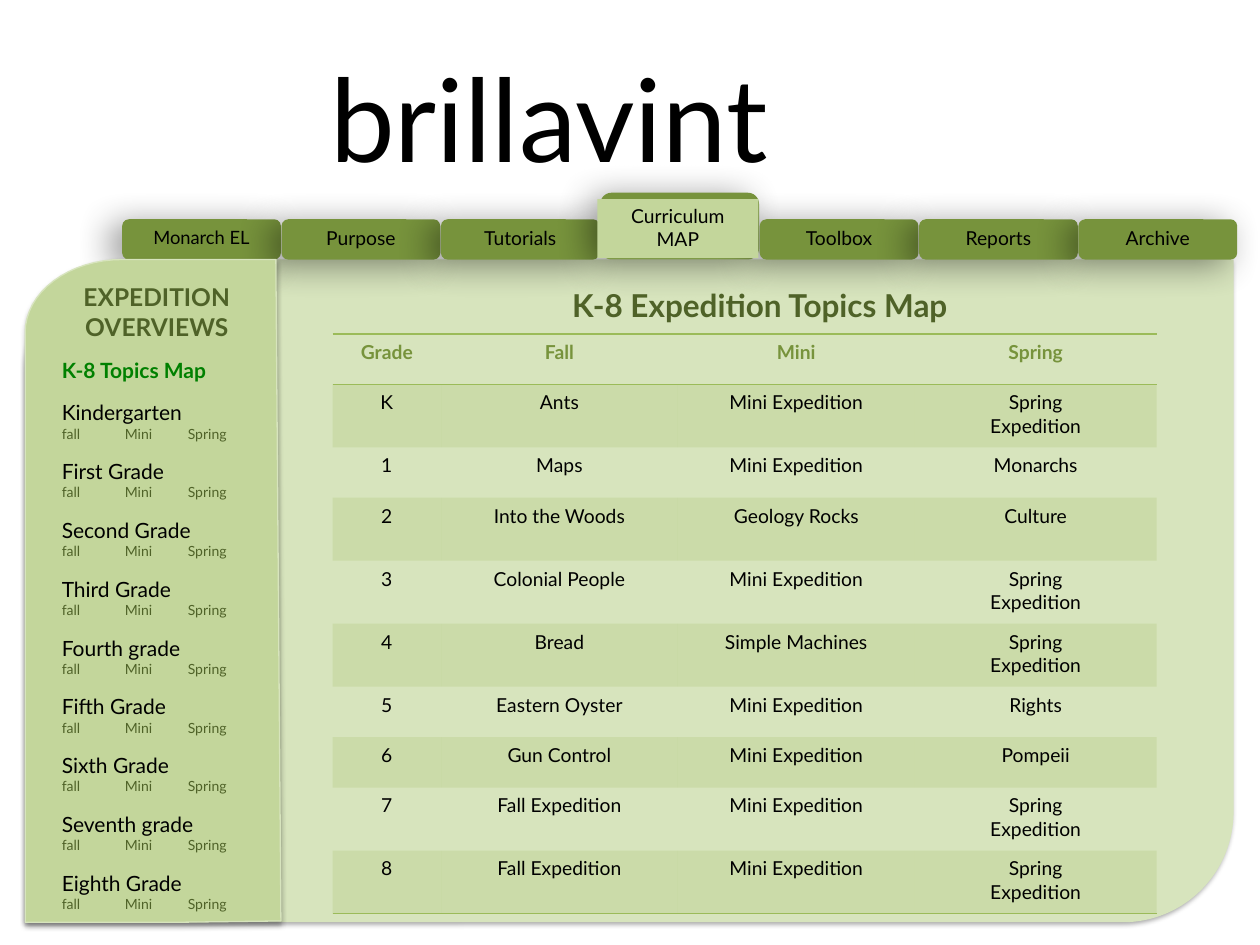
from math import cos, pi, sin

from lxml.etree import SubElement
from pptx import Presentation
from pptx.dml.color import RGBColor
from pptx.enum.shapes import MSO_SHAPE
from pptx.enum.text import MSO_ANCHOR, MSO_AUTO_SIZE, PP_ALIGN
from pptx.oxml.ns import qn
from pptx.util import Inches, Pt

FONT = "Lato"
BLACK = RGBColor(0x00, 0x00, 0x00)
PANEL = RGBColor(0xD7, 0xE4, 0xBD)
SIDEBAR = RGBColor(0xC3, 0xD6, 0x9B)
TAB = RGBColor(0x77, 0x93, 0x3C)
ACCENT = RGBColor(0x9B, 0xBB, 0x59)
DARK_GREEN = RGBColor(0x4F, 0x62, 0x28)
CURRENT = RGBColor(0x00, 0x80, 0x00)

# Shadows: opacity %, blur pt, distance pt, direction degrees
SOFT_SHADOW = (35, 3.1, 1.8, 90)
TAB_SHADOW = (43, 20.8, 7, 153)
NO_GRID_STYLE = "{2D5ABB26-0587-4C30-8999-92F81FD0307C}"

TABS = ["Monarch EL", "Purpose", "Tutorials", "Curriculum MAP",
        "Toolbox", "Reports", "Archive"]
SELECTED = "Curriculum MAP"
GRADES = ["Kindergarten", "First Grade", "Second Grade", "Third Grade",
          "Fourth grade", "Fifth Grade", "Sixth Grade", "Seventh grade",
          "Eighth Grade"]
MINI = "Mini Expedition"
SPRING = "Spring\nExpedition"
TOPICS = [
    ("Grade", "Fall", "Mini", "Spring"),
    ("K", "Ants", MINI, SPRING),
    ("1", "Maps", MINI, "Monarchs"),
    ("2", "Into the Woods", "Geology Rocks", "Culture"),
    ("3", "Colonial People", MINI, SPRING),
    ("4", "Bread", "Simple Machines", SPRING),
    ("5", "Eastern Oyster", MINI, "Rights"),
    ("6", "Gun Control", MINI, "Pompeii"),
    ("7", "Fall Expedition", MINI, SPRING),
    ("8", "Fall Expedition", MINI, SPRING),
]
COLUMN_WIDTHS = [0.86, 1.88, 1.88, 1.92]
ROW_HEIGHTS = [0.4, 0.5, 0.4, 0.5, 0.5, 0.5, 0.4, 0.4, 0.5, 0.5]


def place(shape, left, top, width, height):
    shape.left, shape.top = Inches(left), Inches(top)
    shape.width, shape.height = Inches(width), Inches(height)


def style(paragraph, size, color, bold=False, align=PP_ALIGN.CENTER):
    paragraph.alignment = align
    font = paragraph.font
    font.name, font.size, font.bold = FONT, Pt(size), bold
    font.color.rgb = color


def add_color(parent, color, opacity=100):
    fill = SubElement(parent, qn("a:solidFill"))
    rgb = SubElement(fill, qn("a:srgbClr"), val=str(color))
    SubElement(rgb, qn("a:alpha"), val=str(opacity * 1000))


def paint(shape, color, shadow=None):
    shape.fill.solid()
    shape.fill.fore_color.rgb = color
    shape.line.fill.background()
    shape.shadow.inherit = False
    if shadow:
        opacity, blur, distance, angle = shadow
        effects = shape._element.spPr.find(qn("a:effectLst"))
        outer = SubElement(effects, qn("a:outerShdw"), blurRad=str(Pt(blur)),
                           dist=str(Pt(distance)), dir=str(angle * 60000),
                           rotWithShape="0")
        rgb = SubElement(outer, qn("a:srgbClr"), val=str(BLACK))
        SubElement(rgb, qn("a:alpha"), val=str(opacity * 1000))


def add_block(slide, kind, box, color, shadow=None):
    block = slide.shapes.add_shape(kind, *map(Inches, box))
    paint(block, color, shadow)
    return block


def write_label(shape, text, size):
    frame = shape.text_frame
    frame.word_wrap = True
    frame.vertical_anchor = MSO_ANCHOR.TOP
    frame.margin_top = Inches(0.04)
    frame.text = text
    style(frame.paragraphs[0], size, BLACK)


def add_tabs(slide):
    first, last, width = 0.97, 8.56, 1.26
    pitch = (last - first) / (len(TABS) - 1)
    for i, label in enumerate(TABS):
        selected = label == SELECTED
        top, height = (1.53, 0.53) if selected else (1.74, 0.32)
        tab = add_block(slide, MSO_SHAPE.ROUNDED_RECTANGLE,
                        (first + i * pitch, top, width, height), TAB, TAB_SHADOW)
        if not selected:
            write_label(tab, label, 10.5 if i == 0 else 11)
    # Light front of the selected tab
    front = add_block(slide, MSO_SHAPE.RECTANGLE, (4.74, 1.58, 1.28, 0.47), SIDEBAR)
    write_label(front, SELECTED, 11)


def add_sidebar_panel(slide):
    left, top, bottom = 0.2, 2.06, 7.32
    radius_x, radius_y, steps = 0.77, 0.58, 16
    angles = [pi / 2 * i / steps for i in range(steps + 1)]
    corner = [(left + radius_x * (1 - cos(a)), top + radius_y * (1 - sin(a)))
              for a in angles]
    outline = corner + [(2.19, top), (2.23, 7.31), (1.42, bottom), (left, bottom)]
    points = [(Inches(x), Inches(y)) for x, y in outline]
    builder = slide.shapes.build_freeform(*points[0])
    builder.add_line_segments(points[1:], close=True)
    panel = builder.convert_to_shape()
    paint(panel, SIDEBAR, SOFT_SHADOW)
    panel.line.color.rgb = PANEL
    panel.line.width = Pt(0.75)


def fill_sidebar_list(slide, body):
    gap = 9.6
    lines = [("EXPEDITION", 14, DARK_GREEN, True, 0),
             ("OVERVIEWS", 14, DARK_GREEN, True, 0),
             ("K-8 Topics Map", 12, CURRENT, True, gap)]
    for grade in GRADES:
        lines += [(grade, 12, BLACK, False, gap),
                  ("fall\tMini\tSpring", 8, DARK_GREEN, False, 0)]
    place(body, 0.39, 2.19, 1.71, 5.3)
    frame = body.text_frame
    frame.auto_size = MSO_AUTO_SIZE.NONE
    frame.text = "\n".join(line[0] for line in lines)
    for paragraph, (_, size, color, bold, before) in zip(frame.paragraphs, lines):
        align = PP_ALIGN.CENTER if size == 14 else PP_ALIGN.LEFT
        style(paragraph, size, color, bold, align)
        paragraph.space_before = Pt(before)
        # No bullet or indent, with stops for the season names
        props = paragraph._p.get_or_add_pPr()
        props.set("marL", "0")
        props.set("indent", "0")
        bullet = props.makeelement(qn("a:buNone"), {})
        props.find(qn("a:spcBef")).addnext(bullet)
        stops = props.makeelement(qn("a:tabLst"), {})
        bullet.addnext(stops)
        for stop in (0.29, 0.62):
            SubElement(stops, qn("a:tab"), pos=str(Inches(stop)), algn="l")
    # Bring the list in front of the panel
    slide.shapes._spTree.append(body._element)


def add_border(cell, side):
    line = SubElement(cell._tc.get_or_add_tcPr(), qn("a:" + side), w=str(Pt(1)))
    add_color(line, ACCENT)


def add_topics_table(slide):
    frame = slide.shapes.add_table(
        len(TOPICS), len(COLUMN_WIDTHS), Inches(2.64), Inches(2.65),
        Inches(sum(COLUMN_WIDTHS)), Inches(sum(ROW_HEIGHTS)))
    table = frame.table
    table._tbl.tblPr.find(qn("a:tableStyleId")).text = NO_GRID_STYLE
    for column, width in zip(table.columns, COLUMN_WIDTHS):
        column.width = Inches(width)
    for r, (row, topics) in enumerate(zip(table.rows, TOPICS)):
        row.height = Inches(ROW_HEIGHTS[r])
        header = r == 0
        for cell, topic in zip(row.cells, topics):
            cell.text = topic
            for paragraph in cell.text_frame.paragraphs:
                style(paragraph, 11, TAB if header else BLACK, header)
            if header:
                add_border(cell, "lnT")
            if header or r == len(TOPICS) - 1:
                add_border(cell, "lnB")
            if r % 2:
                add_color(cell._tc.get_or_add_tcPr(), ACCENT, 20)
            else:
                cell.fill.background()


def add_table_heading(slide):
    heading = slide.shapes.add_textbox(*map(Inches, (2.52, 2.22, 7.02, 0.4)))
    heading.text_frame.word_wrap = True
    heading.text_frame.text = "K-8 Expedition Topics Map"
    style(heading.text_frame.paragraphs[0], 18, DARK_GREEN, True)


def main():
    deck = Presentation()
    deck.slide_width, deck.slide_height = Inches(10), Inches(7.5)
    slide = deck.slides.add_slide(deck.slide_layouts[1])
    title, body = slide.placeholders

    # Title
    place(title, 2.52, 0.32, 5.88, 1.21)
    title.text_frame.auto_size = MSO_AUTO_SIZE.NONE
    title.text_frame.vertical_anchor = MSO_ANCHOR.TOP
    title.text_frame.text = "brillavint"
    style(title.text_frame.paragraphs[0], 66, BLACK, align=PP_ALIGN.LEFT)

    # Folder panel, tabs and sidebar
    add_block(slide, MSO_SHAPE.ROUND_2_DIAG_RECTANGLE,
              (0.2, 2.06, 9.59, 5.26), PANEL, SOFT_SHADOW)
    add_tabs(slide)
    add_sidebar_panel(slide)
    fill_sidebar_list(slide, body)

    # Topics by grade
    add_topics_table(slide)
    add_table_heading(slide)
    deck.save("out.pptx")


if __name__ == "__main__":
    main()
